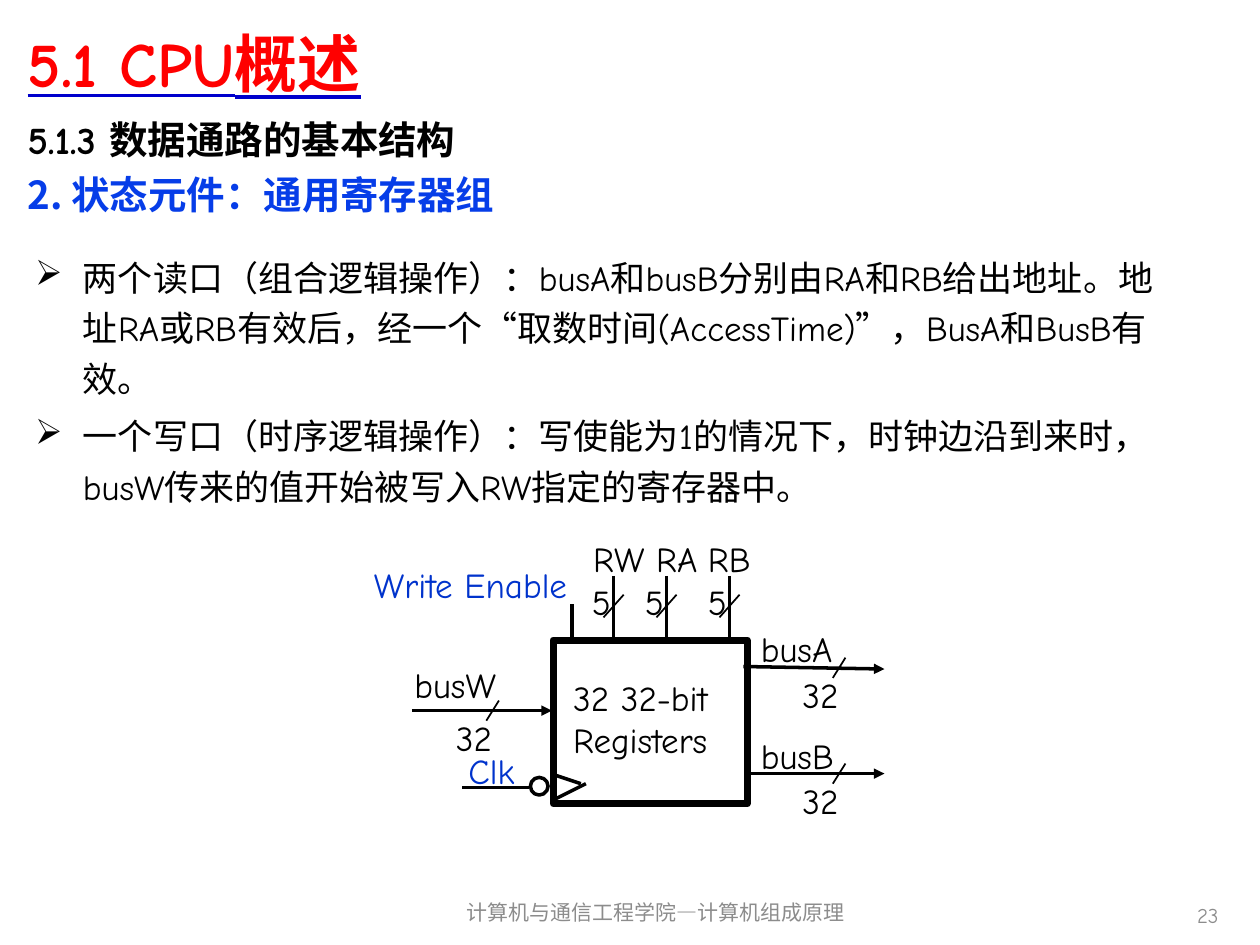
from lxml.etree import SubElement
from pptx import Presentation
from pptx.dml.color import RGBColor
from pptx.enum.shapes import MSO_CONNECTOR as Connector, MSO_SHAPE as Shape
from pptx.enum.text import MSO_ANCHOR as Anchor, PP_ALIGN as Align
from pptx.oxml.ns import qn
from pptx.util import Inches, Pt

LATIN, CHINESE = "Comic Neue", "Noto Sans CJK SC"
BLACK, RED, GREY = "000000", "FF0000", "8C8C8C"
BLUE, SIGNAL_BLUE, UNDERLINE_BLUE = "063DE8", "0033CC", "0000CC"

TITLE = "5.1 CPU概述"
SECTION = "5.1.3 数据通路的基本结构"
TOPIC = "2. 状态元件：通用寄存器组"
PORTS = [
    "两个读口（组合逻辑操作）：busA和busB分别由RA和RB给出地址。"
    "地址RA或RB有效后，经一个“取数时间(AccessTime)”，BusA和BusB有效。",
    "一个写口（时序逻辑操作）：写使能为1的情况下，时钟边沿到来时，"
    "busW传来的值开始被写入RW指定的寄存器中。",
]
FOOTER = "计算机与通信工程学院—计算机组成原理"
PAGE = "23"

LABELS = [
    ("Clk", 3.62, 5.9, 0.6, SIGNAL_BLUE),
    ("Write Enable", 2.87, 4.42, 1.94, SIGNAL_BLUE),
]
ADDRESS_PORTS = [
    ("RW", 4.87, 4.61, 0.67),
    ("RA", 5.29, 5.11, 0.58),
    ("RB", 5.79, 5.52, 0.55),
]
BUSES = [
    ("busW", 3.19, 5.22, 0.94, (3.27, 5.64), (4.38, 5.64), 3.91, 3.52),
    ("busA", 5.94, 4.93, 0.85, (5.9, 5.29), (7.02, 5.31), 6.66, 6.27),
    ("busB", 5.94, 5.78, 0.83, (5.92, 6.14), (7.02, 6.14), 6.66, 6.27),
]
PLAIN_WIRES = [
    ((4.4, 6.15), (4.61, 6.22)),
    ((4.65, 6.22), (4.39, 6.35)),
    ((4.54, 5.07), (4.54, 4.79)),
    ((4.2, 6.25), (3.67, 6.25)),
]

presentation = Presentation()
presentation.slide_width, presentation.slide_height = Inches(10), Inches(7.5)
slide = presentation.slides.add_slide(presentation.slide_layouts[5])


def color(value):
    return RGBColor.from_string(value)


def write(shape, lines, size, ink, bold=False, latin=LATIN, align=Align.LEFT,
          anchor=Anchor.TOP, wrap=True):
    frame = shape.text_frame
    frame.text = "\n".join(lines)
    frame.word_wrap = wrap
    frame.vertical_anchor = anchor
    for paragraph in frame.paragraphs:
        paragraph.alignment = align
        for run in paragraph.runs:
            font = run.font
            font.size, font.bold, font.name = Pt(size), bold, latin
            font.color.rgb = color(ink)
            SubElement(font._element, qn("a:ea"), typeface=CHINESE)
    return frame


def text_box(lines, left, top, width, height, size=20, ink=BLACK, **options):
    box = slide.shapes.add_textbox(*map(Inches, (left, top, width, height)))
    return write(box, lines, size, ink, **options)


def label(text, left, top, width, ink=BLACK):
    text_box([text], left, top, width, 0.43, ink=ink, wrap=False)


def wire(start, end, weight=2, arrow=False):
    line = slide.shapes.add_connector(
        Connector.STRAIGHT, *map(Inches, (*start, *end)))
    line.line.color.rgb = color(BLACK)
    line.line.width = Pt(weight)
    if arrow:
        SubElement(line.line._get_or_add_ln(), qn("a:tailEnd"), type="triangle")
    SubElement(line._element.spPr, qn("a:effectLst"))


def outline(kind, left, top, width, height, weight):
    shape = slide.shapes.add_shape(kind, *map(Inches, (left, top, width, height)))
    shape.shadow.inherit = False
    shape.fill.background()
    shape.line.color.rgb = color(BLACK)
    shape.line.width = Pt(weight)


title = slide.shapes.title
title.left, title.top, title.width, title.height = map(Inches, (0.12, 0.07, 9.69, 0.85))
title_frame = write(title, [TITLE], 36, RED, bold=True, anchor=Anchor.MIDDLE)
title_font = title_frame.paragraphs[0].runs[0].font
title_font.underline = True
underline_fill = title_font._element.makeelement(qn("a:uFill"), {})
solid = SubElement(underline_fill, qn("a:solidFill"))
SubElement(solid, qn("a:srgbClr"), val=UNDERLINE_BLUE)
title_font._element.find(qn("a:latin")).addprevious(underline_fill)

text_box([SECTION], 0.12, 0.87, 9.69, 0.49, 22, bold=True)
text_box([TOPIC], 0.12, 1.31, 3.95, 0.47, 22, BLUE, bold=True, latin=CHINESE)
text_box([FOOTER], 3.35, 7.04, 3.71, 0.4, 12, GREY, align=Align.CENTER, anchor=Anchor.MIDDLE)
text_box([PAGE], 7.44, 7.06, 2.33, 0.4, 12, GREY, align=Align.RIGHT, anchor=Anchor.MIDDLE)

ports_frame = text_box(PORTS, 0.18, 1.92, 9.15, 2.19)
for index, paragraph in enumerate(ports_frame.paragraphs):
    properties = paragraph._p.get_or_add_pPr()
    properties.set("marL", str(Inches(0.38)))
    properties.set("indent", str(-Inches(0.38)))
    SubElement(properties, qn("a:buChar"), char="➢")
    paragraph.line_spacing = 1.2
    paragraph.space_before = Pt(4 if index else 0)

outline(Shape.RECTANGLE, 4.39, 5.08, 1.54, 1.3, 4)
outline(Shape.OVAL, 4.21, 6.17, 0.14, 0.14, 2)
text_box(["32 32-bit", "Registers"], 4.45, 5.32, 1.47, 0.77, wrap=False)

for entry in LABELS:
    label(*entry)

for start, end in PLAIN_WIRES:
    wire(start, end)

for name, x, name_left, name_width in ADDRESS_PORTS:
    wire((x, 4.57), (x, 5.08))
    wire((x - 0.08, 4.9), (x + 0.08, 4.72), weight=1)
    label("5", x - 0.27, 4.56, 0.37)
    label(name, name_left, 4.22, name_width)

for name, left, top, width, start, end, slash, count_left in BUSES:
    y = (start[1] + end[1]) / 2
    wire(start, end, arrow=True)
    wire((slash + 0.05, y - 0.08), (slash - 0.05, y + 0.08), weight=1)
    label("32", count_left, y, 0.54)
    label(name, left, top, width)

presentation.save("out.pptx")
